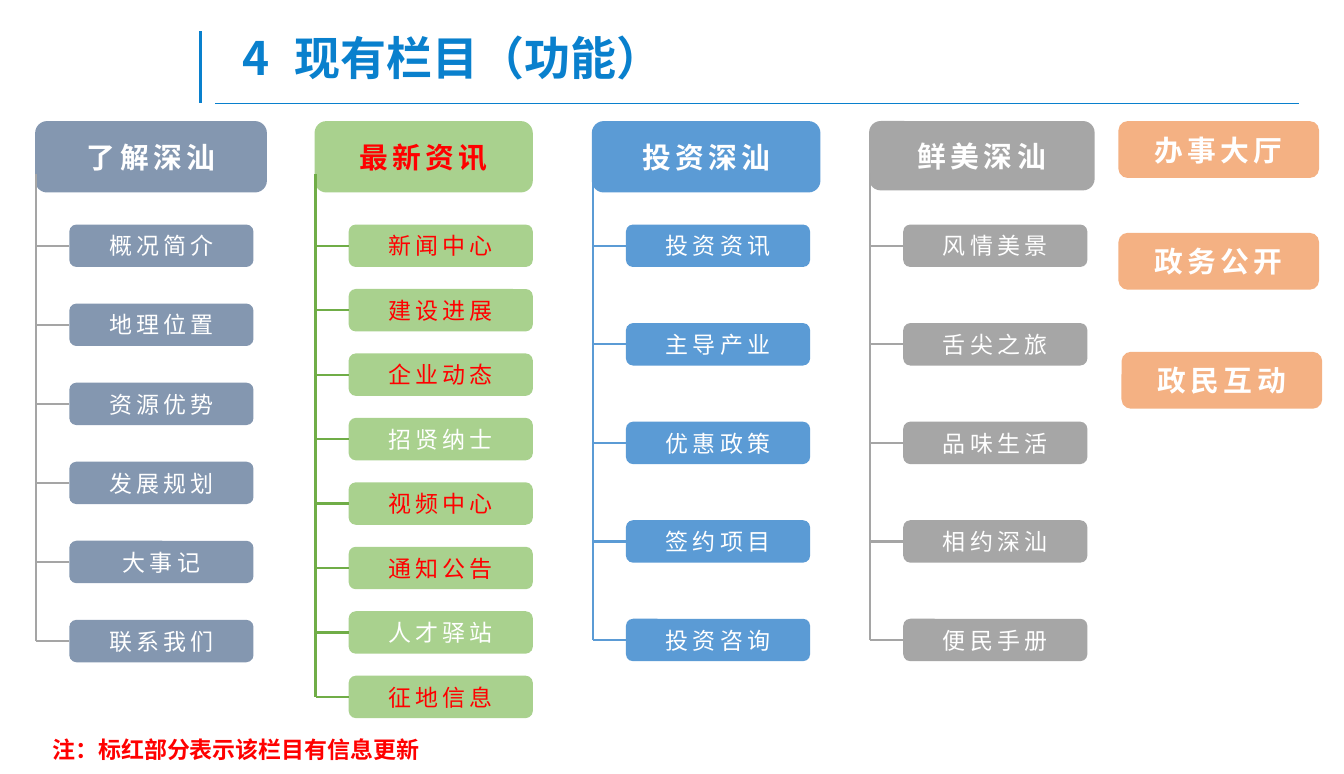
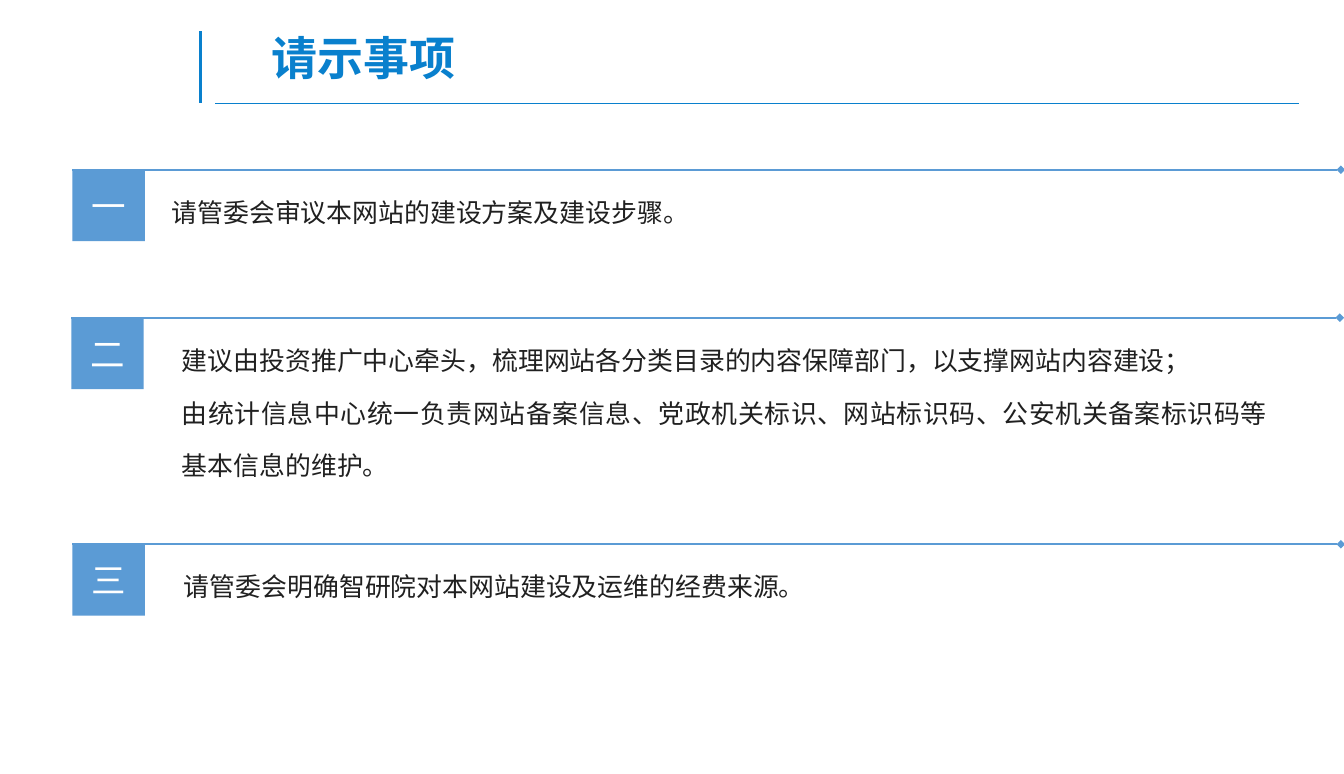
import pptx
import pptx.dml.color
import pptx.enum.shapes
import pptx.enum.text
import pptx.oxml.ns
import pptx.util
from lxml import etree

Inches = pptx.util.Inches
Pt = pptx.util.Pt
RGBColor = pptx.dml.color.RGBColor
MSO_SHAPE = pptx.enum.shapes.MSO_SHAPE
MSO_ANCHOR = pptx.enum.text.MSO_ANCHOR
PP_ALIGN = pptx.enum.text.PP_ALIGN
qn = pptx.oxml.ns.qn

TITLE_BLUE = RGBColor(0x09, 0x80, 0xCD)
BLUE = RGBColor(0x5B, 0x9B, 0xD5)
SLATE = RGBColor(0x84, 0x97, 0xB0)
LIGHT_GREEN = RGBColor(0xA9, 0xD1, 0x8E)
GREEN = RGBColor(0x70, 0xAD, 0x47)
GREY = RGBColor(0xA6, 0xA6, 0xA6)
LINE_GREY = RGBColor(0xA5, 0xA5, 0xA5)
ORANGE = RGBColor(0xF4, 0xB1, 0x83)
RED = RGBColor(0xFF, 0x00, 0x00)
WHITE = RGBColor(0xFF, 0xFF, 0xFF)
INK = RGBColor(0x20, 0x20, 0x20)

CJK_FONT = "Noto Sans CJK SC"
BODY_FONT = "Calibri"

ITEM_W, ITEM_H, ITEM_INDENT = 1.78, 0.41, 0.33
FIRST_ITEM_TOP = 2.17
HEADER_TOP = 1.17

# header, left, header width, header height, fill, line, last item top, items
COLUMNS = [
    ("了解深汕", 0.34, 2.24, 0.69, SLATE, LINE_GREY, 5.99,
     ["概况简介", "地理位置", "资源优势", "发展规划", "大事记", "联系我们"]),
    ("最新资讯", 3.04, 2.11, 0.69, LIGHT_GREEN, GREEN, 6.53,
     ["新闻中心", "建设进展", "企业动态", "招贤纳士",
      "视频中心", "通知公告", "人才驿站", "征地信息"]),
    ("投资深汕", 5.72, 2.21, 0.69, BLUE, BLUE, 5.98,
     ["投资资讯", "主导产业", "优惠政策", "签约项目", "投资咨询"]),
    ("鲜美深汕", 8.4, 2.18, 0.67, GREY, LINE_GREY, 5.98,
     ["风情美景", "舌尖之旅", "品味生活", "相约深汕", "便民手册"]),
]
UPDATED = {"最新资讯", "新闻中心", "建设进展", "企业动态",
           "视频中心", "通知公告", "征地信息"}
SINGLE_SECTIONS = [("办事大厅", 10.81, 1.17), ("政务公开", 10.81, 2.25),
                   ("政民互动", 10.84, 3.4)]

# number, left, top, text left, text height, paragraphs
REQUESTS = [
    ("一", 0.7, 1.64, 1.56, 1.13, ["请管委会审议本网站的建设方案及建设步骤。"]),
    ("二", 0.69, 3.07, 1.66, 1.64,
     ["建议由投资推广中心牵头，梳理网站各分类目录的内容保障部门，以支撑网站内容建设；",
      "由统计信息中心统一负责网站备案信息、党政机关标识、网站标识码、"
      "公安机关备案标识码等基本信息的维护。"]),
    ("三", 0.7, 5.26, 1.68, 0.61,
     ["请管委会明确智研院对本网站建设及运维的经费来源。"]),
]


def style_paragraph(p, size, color, bold=False, name=CJK_FONT, spacing=0):
    p.font.size = Pt(size)
    p.font.bold = bold
    p.font.color.rgb = color
    p.font.name = name
    props = p._p.pPr.find(qn("a:defRPr"))
    etree.SubElement(props, qn("a:ea")).set("typeface", CJK_FONT)
    if spacing:
        props.set("spc", str(spacing * 100))


def add_text(s, left, top, width, height, paragraphs):
    """Add a wrapping text box and return its text frame."""
    tf = s.shapes.add_textbox(Inches(left), Inches(top),
                              Inches(width), Inches(height)).text_frame
    tf.word_wrap = True
    tf.text = "\n".join(paragraphs)
    return tf


def add_box(s, kind, left, top, width, height, fill, text, size, color,
            bold=False, spacing=0):
    sp = s.shapes.add_shape(kind, Inches(left), Inches(top),
                            Inches(width), Inches(height))
    sp.shadow.inherit = False
    sp.fill.solid()
    sp.fill.fore_color.rgb = fill
    sp.line.fill.background()
    tf = sp.text_frame
    tf.vertical_anchor = MSO_ANCHOR.MIDDLE
    tf.text = text
    p = tf.paragraphs[0]
    p.alignment = PP_ALIGN.CENTER
    style_paragraph(p, size, color, bold, spacing=spacing)
    return sp


def add_section(s, text, left, top, width, height, fill, size=20):
    """Add a rounded menu box, with red text if the section has updates."""
    color = RED if text in UPDATED else WHITE
    return add_box(s, MSO_SHAPE.ROUNDED_RECTANGLE, left, top, width, height,
                   fill, text, size, color, bold=size == 20, spacing=3)


def add_line(s, x1, y1, x2, y2, color, width=1.5, head=None):
    line = s.shapes.add_connector(pptx.enum.shapes.MSO_CONNECTOR.STRAIGHT,
                                  Inches(x1), Inches(y1),
                                  Inches(x2), Inches(y2))
    line.line.color.rgb = color
    line.line.width = Pt(width)
    props = line._element.spPr
    if head:
        etree.SubElement(props.find(qn("a:ln")), qn("a:headEnd")).set("type", head)
    etree.SubElement(props, qn("a:effectLst"))
    return line


def add_titled_slide(prs, title, indent=0, tab=None):
    s = prs.slides.add_slide(prs.slide_layouts[6])
    add_line(s, 2.08, 1, 12.56, 1, TITLE_BLUE, 0.5)
    add_line(s, 1.94, 0.3, 1.94, 1, TITLE_BLUE, 2.25)
    p = add_text(s, 2.25, 0.3, 10.24, 0.69, [title]).paragraphs[0]
    p.line_spacing = 0.9
    props = p._p.get_or_add_pPr()
    props.set("marL", str(Inches(indent)))
    props.set("indent", "0")
    if tab:
        tabs = etree.SubElement(props, qn("a:tabLst"))
        etree.SubElement(tabs, qn("a:tab"), pos=str(Inches(tab)), algn="l")
    style_paragraph(p, 32, TITLE_BLUE, bold=True)
    return s


def add_menu_column(s, header, left, width, height, fill, line_color,
                    last_top, items):
    """Add a header with its items hanging from a vertical trunk line."""
    add_section(s, header, left, HEADER_TOP, width, height, fill)
    trunk = left + 0.01
    add_line(s, trunk, 1.68, trunk, last_top + ITEM_H / 2, line_color)
    step = (last_top - FIRST_ITEM_TOP) / (len(items) - 1)
    for i, text in enumerate(items):
        top = FIRST_ITEM_TOP + i * step
        item = add_section(s, text, left + ITEM_INDENT, top, ITEM_W, ITEM_H,
                           fill, size=16)
        middle = top + ITEM_H / 2
        branch = add_line(s, left + ITEM_INDENT, middle, trunk, middle, line_color)
        branch.begin_connect(item, 1)


def add_request(s, number, left, top, text_left, text_height, paragraphs):
    add_box(s, MSO_SHAPE.RECTANGLE, left, top, 0.7, 0.69, BLUE, number, 24, WHITE)
    add_line(s, left + 12.26, top, left, top, BLUE, head="diamond")
    tf = add_text(s, text_left, top, 10.69, text_height, paragraphs)
    for p in tf.paragraphs:
        p.alignment = PP_ALIGN.JUSTIFY
        p.line_spacing = 1.7
        style_paragraph(p, 18, INK, name=BODY_FONT)


def build_menu_slide(prs):
    s = add_titled_slide(prs, "4\t现有栏目（功能）", tab=0.55)
    for column in COLUMNS:
        add_menu_column(s, *column)
    for text, left, top in SINGLE_SECTIONS:
        add_section(s, text, left, top, 1.94, 0.55, ORANGE)
    tf = add_text(s, 0.41, 7.06, 8.14, 0.37, ["注：标红部分表示该栏目有信息更新"])
    style_paragraph(tf.paragraphs[0], 16, RED, bold=True)


def build_requests_slide(prs):
    s = add_titled_slide(prs, "请示事项", indent=0.28)
    for request in REQUESTS:
        add_request(s, *request)


def main():
    prs = pptx.Presentation()
    prs.slide_width = Inches(12.99)
    prs.slide_height = Inches(7.48)
    build_menu_slide(prs)
    build_requests_slide(prs)
    prs.save("out.pptx")


if __name__ == "__main__":
    main()
